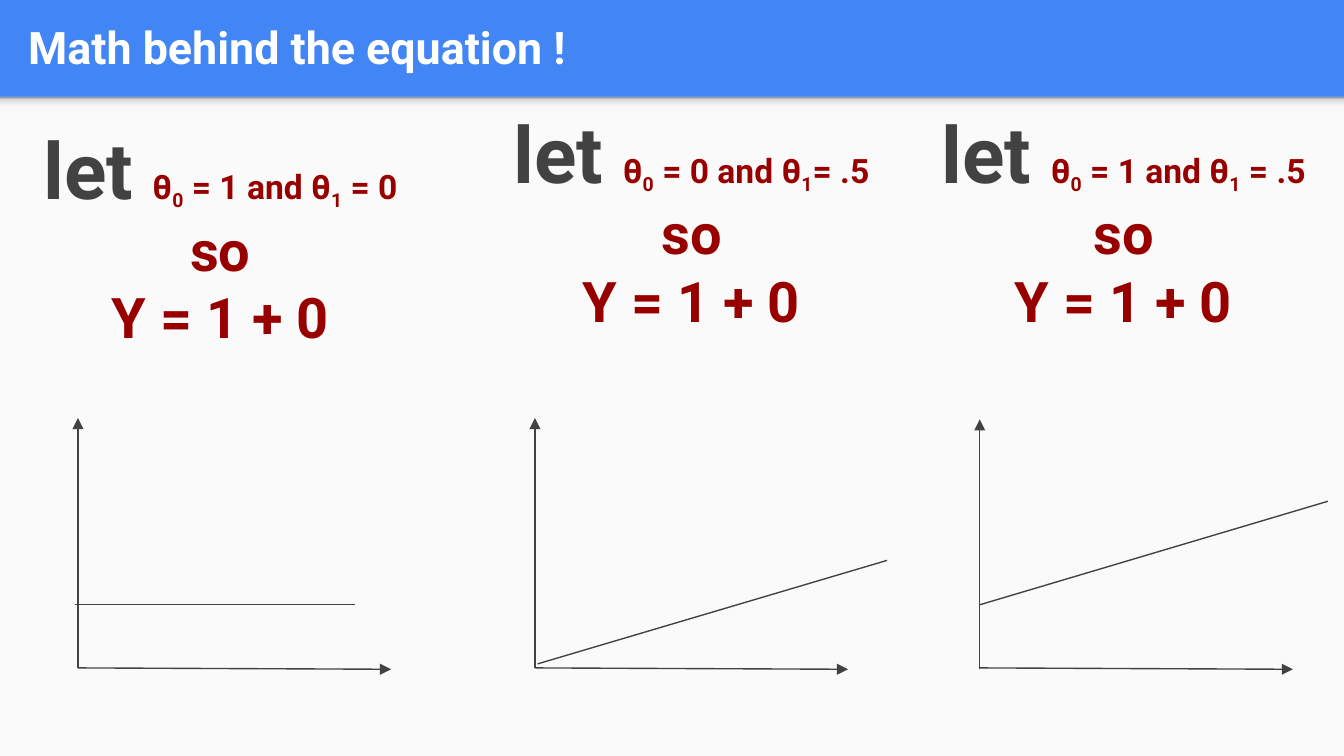
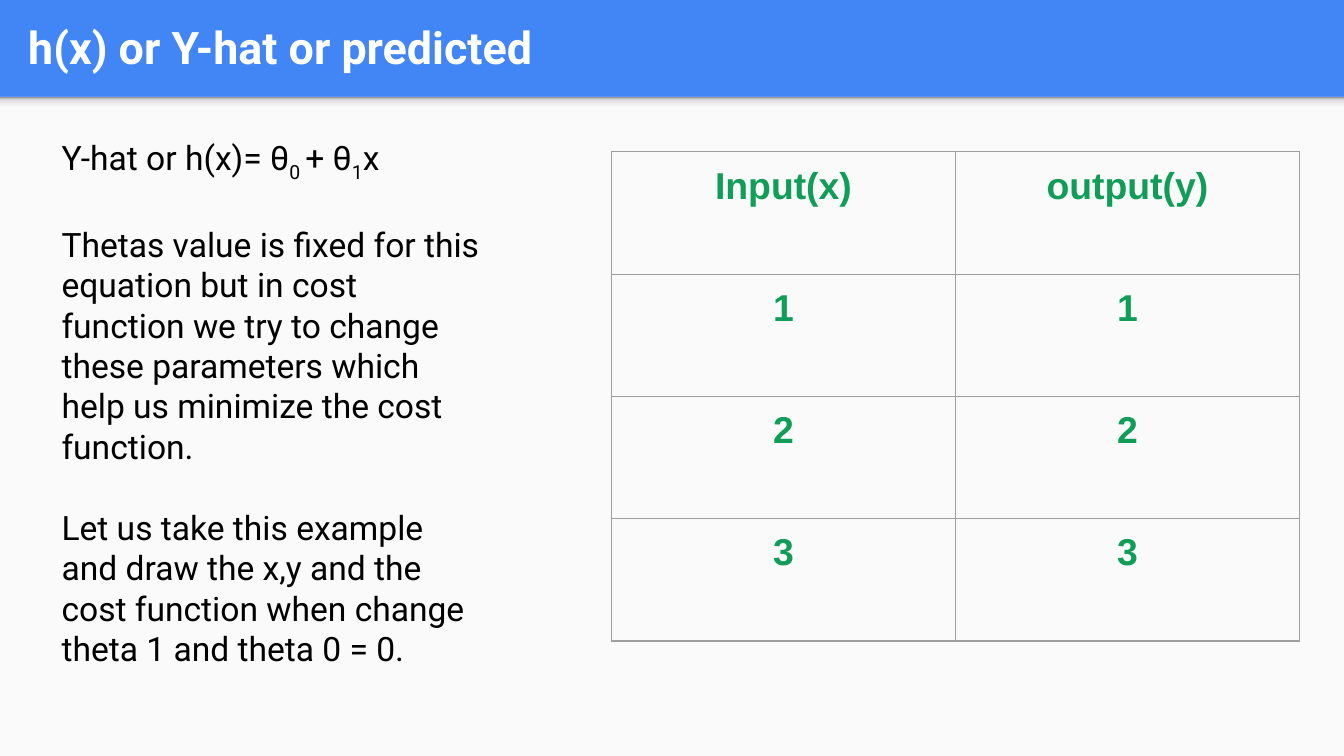
from copy import deepcopy
from dataclasses import dataclass

from lxml.etree import SubElement
from pptx import Presentation
from pptx.dml.color import RGBColor as RGB
from pptx.enum.shapes import MSO_CONNECTOR as Connector, MSO_SHAPE as Shape
from pptx.enum.text import MSO_ANCHOR as Anchor, MSO_AUTO_SIZE as AutoSize, PP_ALIGN as Align
from pptx.oxml.ns import qn
from pptx.util import Inches, Pt

# Content: text between bars is set as a subscript
EQUATIONS_TITLE = "Math behind the equation !"
EQUATIONS = [
    # thetas, result, box (left, top, width, height), origin, line from and to
    dict(thetas="θ|0| = 1 and θ|1| = 0", result="Y = 1 + 0", box=(0, 0.8, 3.28, 1.91),
         origin=(0.58, 4.97), line=((0.56, 4.5), (2.64, 4.5))),
    dict(thetas="θ|0| = 0 and θ|1|= .5", result="Y = 1 + 0", box=(3.72, 0.68, 2.85, 2.03),
         origin=(3.98, 4.97), line=((4, 4.94), (6.6, 4.17))),
    dict(thetas="θ|0| = 1 and θ|1| = .5", result="Y = 1 + 0", box=(6.72, 0.68, 3.28, 1.91),
         origin=(7.29, 4.98), line=((7.29, 4.5), (9.88, 3.73))),
]
PREDICTED_TITLE = "h(x) or Y-hat or predicted"
EXPLANATION = [
    "Y-hat or h(x)= θ|0 |+ θ|1|x",
    "Thetas value is fixed for this equation but in cost function we try to change "
    "these parameters which help us minimize the cost function.",
    "Let us take this example and draw the x,y and the cost function when change "
    "theta 1 and theta 0 = 0.",
]
SAMPLES = [("Input(x)", "output(y)"), ("1", "1"), ("2", "2"), ("3", "3")]


@dataclass(frozen=True)
class Theme:
    blue: RGB = RGB.from_string("4285F4")
    panel: RGB = RGB.from_string("FAFAFA")
    white: RGB = RGB.from_string("FFFFFF")
    black: RGB = RGB.from_string("000000")
    ink: RGB = RGB.from_string("424242")
    red: RGB = RGB.from_string("980000")
    green: RGB = RGB.from_string("0F9D58")
    grid: str = "9E9E9E"
    shade: tuple = ((0, "F9F9F9"), (0.36, "F9F9F9"), (0.8, "DEDEDE"), (1, "999999"))
    font: str = "Roboto"
    table_font: str = "Arial"
    title: int = 24
    let: int = 42
    result: int = 30
    body: int = 18
    cell: int = 20
    stroke: float = 0.75
    gap: int = 22


THEME = Theme()
WIDTH = 10
HEIGHT = WIDTH * 9 / 16
BAND = 0.72
AXIS_X, AXIS_Y = 2.33, 1.86
TABLE_LEFT, TABLE_TOP, COLUMN, ROW = 4.55, 1.13, 2.56, 0.91


def inches(*lengths):
    return [Inches(length) for length in lengths]


def style(font, size=None, color=None, bold=None, name=None):
    if size:
        font.size = Pt(size)
    if color is not None:
        font.color.rgb = color
    if bold is not None:
        font.bold = bold
    if name:
        font.name = name


def add_formula(paragraph, formula, **look):
    for index, part in enumerate(formula.split("|")):
        run = paragraph.add_run()
        run.text = part
        style(run.font, **look)
        if index % 2:
            run._r.get_or_add_rPr().set("baseline", "-25000")


def add_text_frame(slide, box):
    frame = slide.shapes.add_textbox(*inches(*box)).text_frame
    frame.word_wrap = True
    set_margins(frame)
    return frame


def set_margins(holder):
    holder.margin_left = holder.margin_right = Inches(0.1)
    holder.margin_top = holder.margin_bottom = Inches(0.1)


def add_line(slide, start, end, arrow=False):
    line = slide.shapes.add_connector(Connector.STRAIGHT, *inches(*start, *end))
    line.line.color.rgb = THEME.ink
    line.line.width = Pt(THEME.stroke)
    properties = line.element.spPr
    if arrow:
        SubElement(properties.find(qn("a:ln")), qn("a:tailEnd"), type="triangle")
    SubElement(properties, qn("a:effectLst"))


# Shared look: blue background, pale panel and shaded edge on the layout
def add_panel(slide, height):
    panel = slide.shapes.add_shape(Shape.RECTANGLE, *inches(0, BAND, WIDTH, height))
    panel.shadow.inherit = False
    panel.line.fill.background()
    return panel


def dress_layout(prs, layout, slide):
    background = prs.slide_master.background.fill
    background.solid()
    background.fore_color.rgb = THEME.blue

    body = add_panel(slide, HEIGHT - BAND)
    body.fill.solid()
    body.fill.fore_color.rgb = THEME.panel

    edge = add_panel(slide, 0.12)
    edge.fill.gradient()
    edge.fill.gradient_angle = 90
    stops = edge.element.spPr.find(qn("a:gradFill")).find(qn("a:gsLst"))
    while len(stops) < len(THEME.shade):
        stops.append(deepcopy(stops[0]))
    for stop, (position, color) in zip(edge.fill.gradient_stops, THEME.shade):
        stop.position = position
        stop.color.rgb = RGB.from_string(color)

    for index, part in enumerate((body, edge)):
        layout.shapes.element.insert(2 + index, part.element)


def set_title(slide, text):
    title = slide.shapes.title
    title.left, title.top, title.width, title.height = inches(0.11, 0.02, 9.65, 0.66)
    frame = title.text_frame
    frame.text = text
    frame.auto_size = AutoSize.NONE
    frame.vertical_anchor = Anchor.MIDDLE
    set_margins(frame)
    paragraph = frame.paragraphs[0]
    paragraph.alignment = Align.LEFT
    style(paragraph.font, THEME.title, THEME.white, True, THEME.font)


# Slide 1: three equations, each above its graph
def add_equation(slide, equation):
    frame = add_text_frame(slide, equation["box"])
    thetas, result = frame.paragraphs[0], frame.add_paragraph()
    for paragraph in (thetas, result):
        paragraph.alignment = Align.CENTER
        style(paragraph.font, bold=True, name=THEME.font)
    add_formula(thetas, "let ", size=THEME.let, color=THEME.ink)
    add_formula(thetas, equation["thetas"], size=THEME.body, color=THEME.red)
    add_formula(thetas, " so", size=THEME.result, color=THEME.red)
    result.text = equation["result"]
    style(result.font, THEME.result, THEME.red)


def add_graph(slide, equation):
    x, y = equation["origin"]
    add_line(slide, (x, 4.97), (x + AXIS_X, 4.98), arrow=True)
    add_line(slide, (x, y), (x, y - AXIS_Y), arrow=True)
    add_line(slide, *equation["line"])


# Slide 2: explanation beside the sample table
def add_explanation(slide):
    frame = add_text_frame(slide, (0.36, 0.92, 3.31, 4.7))
    for index, text in enumerate(EXPLANATION):
        paragraph = frame.add_paragraph() if index else frame.paragraphs[0]
        if index:
            paragraph.space_before = Pt(THEME.gap)
        style(paragraph.font, THEME.body, THEME.black, name=THEME.font)
        add_formula(paragraph, text)


def set_borders(cell):
    properties = cell._tc.get_or_add_tcPr()
    for index, side in enumerate(("a:lnL", "a:lnR", "a:lnT", "a:lnB")):
        border = properties.makeelement(qn(side), {"w": str(Pt(THEME.stroke))})
        SubElement(SubElement(border, qn("a:solidFill")), qn("a:srgbClr"), val=THEME.grid)
        properties.insert(index, border)


def add_samples(slide):
    rows, columns = len(SAMPLES), len(SAMPLES[0])
    table = slide.shapes.add_table(
        rows, columns, *inches(TABLE_LEFT, TABLE_TOP, columns * COLUMN, rows * ROW)).table
    table.first_row = table.horz_banding = False
    for column in table.columns:
        column.width = Inches(COLUMN)
    for row, sample in zip(table.rows, SAMPLES):
        row.height = Inches(ROW)
        for cell, value in zip(row.cells, sample):
            cell.text = value
            cell.fill.background()
            set_margins(cell)
            set_borders(cell)
            paragraph = cell.text_frame.paragraphs[0]
            paragraph.alignment = Align.CENTER
            style(paragraph.font, THEME.cell, THEME.green, True, THEME.table_font)


def main():
    prs = Presentation()
    prs.slide_width, prs.slide_height = inches(WIDTH, HEIGHT)
    layout = prs.slide_layouts[5]
    equations, predicted = (prs.slides.add_slide(layout) for _ in range(2))
    dress_layout(prs, layout, equations)

    set_title(equations, EQUATIONS_TITLE)
    for equation in EQUATIONS:
        add_equation(equations, equation)
    for equation in EQUATIONS:
        add_graph(equations, equation)

    set_title(predicted, PREDICTED_TITLE)
    add_explanation(predicted)
    add_samples(predicted)
    prs.save("out.pptx")


if __name__ == "__main__":
    main()
